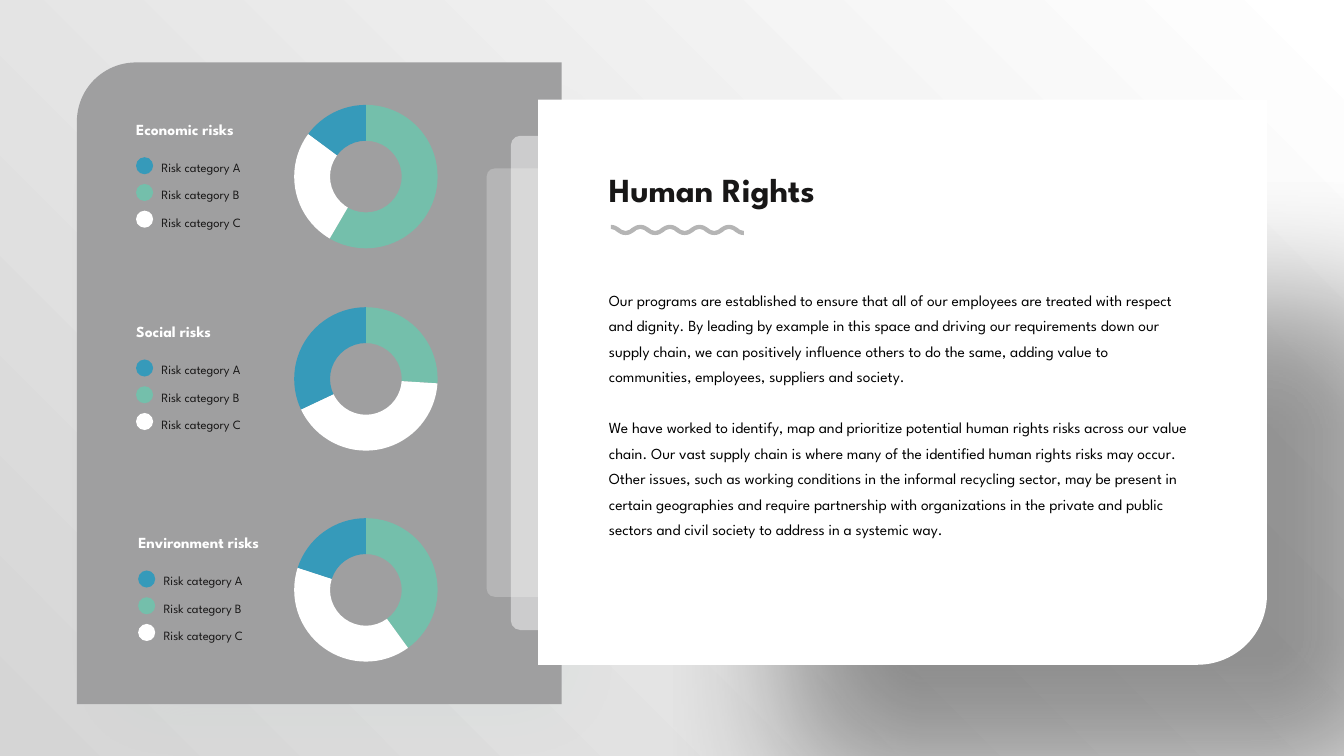
from lxml.etree import SubElement
from pptx import Presentation
from pptx.chart.data import CategoryChartData
from pptx.dml.color import RGBColor
from pptx.enum.chart import XL_CHART_TYPE
from pptx.enum.shapes import MSO_SHAPE
from pptx.oxml import parse_xml
from pptx.oxml.ns import nsdecls, qn
from pptx.util import Pt

COLORS = {
    "panel": "9F9FA0", "white": "FFFFFF", "black": "000000", "ink": "181717",
    "wave": "B5B5B5", "blue": "369ABA", "green": "74BFAB",
    "backdrop": "D5D5D5", "panel_shadow": "1D9A78",
}
FONT = "League Spartan"
CATEGORIES = [("Risk category A", "blue"), ("Risk category B", "green"),
              ("Risk category C", "white")]
RING_COLORS = ["green", "white", "blue"]
# Heading, left, top, ring values
RISKS = [
    ("Economic risks", 90.2, 82.1, (59, 27, 15)),
    ("Social risks", 90.2, 226.6, (26, 42, 32)),
    ("Environment risks", 91.7, 377.3, (40, 40, 20)),
]
RIGHTS_TEXT = [
    "Our programs are established to ensure that all of our employees are treated with respect "
    "and dignity. By leading by example in this space and driving our requirements down our "
    "supply chain, we can positively influence others to do the same, adding value to "
    "communities, employees, suppliers and society.",
    "We have worked to identify, map and prioritize potential human rights risks across our "
    "value chain. Our vast supply chain is where many of the identified human rights risks may "
    "occur. Other issues, such as working conditions in the informal recycling sector, may be "
    "present in certain geographies and require partnership with organizations in the private "
    "and public sectors and civil society to address in a systemic way.",
]


def color(name):
    return RGBColor.from_string(COLORS[name])


def paint(shape, fill, opacity=100):
    shape.shadow.inherit = False
    shape.fill.solid()
    shape.fill.fore_color.rgb = color(fill)
    shape.line.fill.background()
    if opacity < 100:
        fill_color = shape._element.spPr.find(qn("a:solidFill"))[0]
        SubElement(fill_color, qn("a:alpha"), val=str(opacity * 1000))


def add_block(slide, kind, box, fill, corner=None, flip=None, opacity=100):
    shape = slide.shapes.add_shape(kind, *map(Pt, box))
    paint(shape, fill, opacity)
    if corner is not None:
        shape.adjustments[0] = corner
    if flip:
        shape._element.spPr.find(qn("a:xfrm")).set(flip, "1")
    return shape


def add_shadow(shape, name, opacity, blur, distance, angle, scale):
    effects = shape._element.spPr.find(qn("a:effectLst"))
    shadow = SubElement(
        effects, qn("a:outerShdw"), blurRad=str(Pt(blur)), dist=str(Pt(distance)),
        dir=str(angle * 60000), sx=str(scale * 1000), sy=str(scale * 1000),
        algn="br", rotWithShape="0")
    shadow_color = SubElement(shadow, qn("a:srgbClr"), val=COLORS[name])
    SubElement(shadow_color, qn("a:alpha"), val=str(opacity * 1000))


def add_text(slide, box, lines, size, fill, bold=False, spacing=None, gap=0, margins=(2, 2, 2, 2)):
    frame = slide.shapes.add_textbox(*map(Pt, box)).text_frame
    frame.word_wrap = True
    (frame.margin_left, frame.margin_top,
     frame.margin_right, frame.margin_bottom) = map(Pt, margins)
    for index, line in enumerate(lines):
        paragraph = frame.add_paragraph() if index else frame.paragraphs[0]
        paragraph.text = line
        if spacing:
            paragraph.line_spacing = Pt(spacing)
        if index and gap:
            paragraph.space_before = Pt(gap)
        font = paragraph.runs[0].font
        font.name, font.size, font.bold = FONT, Pt(size), bold
        font.color.rgb = color(fill)


def add_ring(slide, left, top, width, height, values):
    data = CategoryChartData()
    data.categories = ["1", "2", "3"]
    data.add_series("Series 1", values)
    chart = slide.shapes.add_chart(
        XL_CHART_TYPE.DOUGHNUT, Pt(left), Pt(top), Pt(width), Pt(height), data).chart
    chart.has_legend = False
    chart.has_title = False
    chart.font.name, chart.font.size = "Calibri", Pt(10)
    chart.font.color.rgb = color("black")
    plot = chart.plots[0]
    plot.vary_by_categories = False
    for index, name in enumerate(RING_COLORS):
        point_format = plot.series[0].points[index].format
        point_format.fill.solid()
        point_format.fill.fore_color.rgb = color(name)
        point_format.line.fill.background()
    plot._element.find(qn("c:holeSize")).set("val", "75")

    # Centre the ring at a fixed diameter
    diameter = 102.6
    share_x, share_y = diameter / width, diameter / height
    plot_area = plot._element.getparent()
    for old_layout in plot_area.findall(qn("c:layout")):
        plot_area.remove(old_layout)
    plot_area.insert(0, parse_xml(
        f'<c:layout {nsdecls("c")}><c:manualLayout><c:layoutTarget val="inner"/>'
        f'<c:xMode val="edge"/><c:yMode val="edge"/>'
        f'<c:x val="{(1 - share_x) / 2:.3f}"/><c:y val="{(1 - share_y) / 2:.3f}"/>'
        f'<c:w val="{share_x:.3f}"/><c:h val="{share_y:.3f}"/>'
        f'</c:manualLayout></c:layout>'))


def wave_edge(left, top, quarter, swing, lean):
    """Points of 18 quarter waves: a start, then two controls and an end for each."""
    anchors = []
    for index in range(19):
        x, y = left + quarter * index, top + swing * (0, 1, 2, 1)[index % 4]
        anchors.append((x + lean * (0, 1, 0, -1)[index % 4], y))
    points = anchors[:1]
    for index, ((x1, y1), (x2, y2)) in enumerate(zip(anchors, anchors[1:])):
        # The curve is level at crests and troughs, steep between them
        shares = [(0.5, 0), (0.75, 0.6)] if index % 2 == 0 else [(0.25, 0.4), (0.5, 1)]
        points += [(x1 + (x2 - x1) * across, y1 + (y2 - y1) * down) for across, down in shares]
        points.append((x2, y2))
    return points


def add_wave(slide, left, top, width):
    quarter, swing, thickness, lean = width / 18, 2.2, 2.9, 0.7
    upper = wave_edge(left, top, quarter, swing, lean)
    lower = wave_edge(left, top + thickness, quarter, swing, -lean)[::-1]
    outline = [(Pt(x), Pt(y)) for x, y in upper + lower]
    builder = slide.shapes.build_freeform(*outline[0])
    builder.add_line_segments(outline[1:], close=True)
    shape = builder.convert_to_shape()
    paint(shape, "wave")

    # Join each run of three points into one curve; the end cap stays straight
    route = next(shape._element.iter(qn("a:path")))
    segments = route.findall(qn("a:lnTo"))
    cap = len(upper) - 1
    for edge in (segments[:cap], segments[cap + 1:]):
        for first, second, end in zip(edge[::3], edge[1::3], edge[2::3]):
            curve = SubElement(route, qn("a:cubicBezTo"))
            route.replace(first, curve)
            for segment in (first, second, end):
                curve.append(segment[0])
            route.remove(second)
            route.remove(end)


def add_risk_group(slide, left, top, heading, values):
    add_ring(slide, 189.4, top - 17.1, 144, 122.4, values)
    add_text(slide, (left, top, 132.5, 21), [heading], 11, "white", bold=True,
             margins=(7.2, 3.6, 7.2, 3.6))
    for index, (_, name) in enumerate(CATEGORIES):
        add_block(slide, MSO_SHAPE.OVAL, (left + 7, top + 30.2 + 19.1 * index, 12.2, 12.2), name)
    add_text(slide, (left + 23.1, top + 20.9, 121, 62), [label for label, _ in CATEGORIES],
             9, "ink", spacing=19.8)


def add_rights_card(slide, left, top, width, height):
    # Sheets stacked behind the card
    add_block(slide, MSO_SHAPE.ROUNDED_RECTANGLE, (left - 36.7, top + 49, 395, 306),
              "white", corner=0.019, opacity=24)
    add_block(slide, MSO_SHAPE.ROUNDED_RECTANGLE, (left - 19.4, top + 25.7, 455, 353),
              "white", corner=0.019, opacity=48)
    card = add_block(slide, MSO_SHAPE.ROUND_1_RECTANGLE, (left, top, width, height),
                     "white", corner=0.123, flip="flipV")
    add_shadow(card, "black", 40, 100, 20, 45, scale=84)
    # Body, heading and underline
    add_text(slide, (left + 48.6, top + 128, 425, 205), RIGHTS_TEXT, 11, "black",
             spacing=18.2, gap=18.2, margins=(2, 3.6, 7.2, 3.6))
    add_text(slide, (left + 48.6, top + 47.2, 219, 33), ["Human Rights"], 24, "ink", bold=True)
    add_wave(slide, left + 52, top + 89.3, 95)


def add_risk_panel(slide, left, top, width, height):
    panel = add_block(slide, MSO_SHAPE.ROUND_1_RECTANGLE, (left, top, width, height),
                      "panel", corner=0.122, flip="flipH")
    add_shadow(panel, "panel_shadow", 4, 54, 0, 90, scale=90)


def set_background(slide):
    slide._element.cSld.insert(0, parse_xml(
        f'<p:bg {nsdecls("p", "a")}><p:bgPr><a:gradFill rotWithShape="1"><a:gsLst>'
        f'<a:gs pos="0"><a:srgbClr val="{COLORS["white"]}"/></a:gs>'
        f'<a:gs pos="100000"><a:srgbClr val="{COLORS["backdrop"]}"/></a:gs></a:gsLst>'
        f'<a:path path="circle"><a:fillToRect l="100000" b="100000"/></a:path>'
        f'</a:gradFill><a:effectLst/></p:bgPr></p:bg>'))


def main():
    presentation = Presentation()
    presentation.slide_width, presentation.slide_height = Pt(960), Pt(540)
    slide = presentation.slides.add_slide(presentation.slide_layouts[6])
    set_background(slide)
    add_risk_panel(slide, 54.9, 44.6, 346.3, 458.4)
    add_rights_card(slide, 384.3, 71.3, 520.7, 403.6)
    for heading, left, top, values in RISKS:
        add_risk_group(slide, left, top, heading, values)
    presentation.save("out.pptx")


if __name__ == "__main__":
    main()
